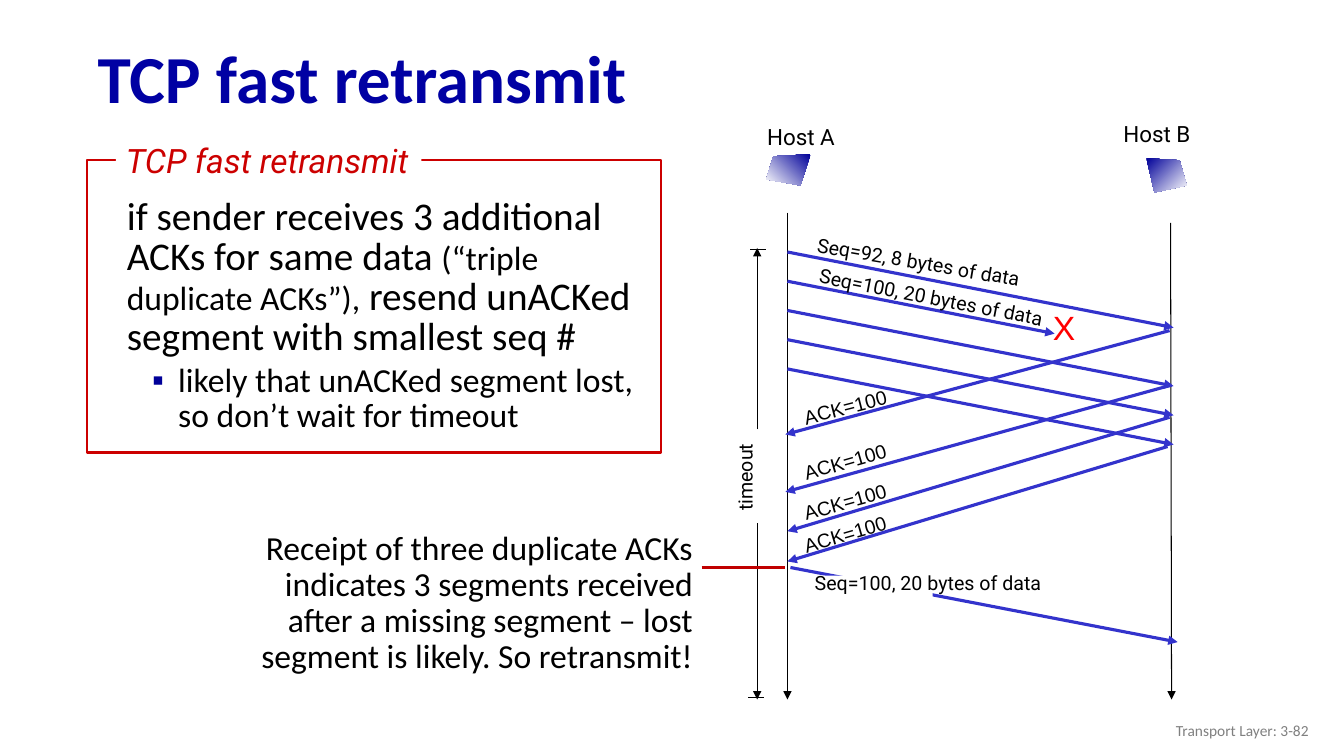
from dataclasses import dataclass

from lxml.etree import SubElement
from pptx import Presentation
from pptx.dml.color import RGBColor
from pptx.enum.shapes import MSO_CONNECTOR, MSO_SHAPE
from pptx.enum.text import MSO_ANCHOR, PP_ALIGN
from pptx.oxml.ns import qn
from pptx.util import Pt

EMU_PER_PX = 9144
HOST_A_X = 781
HOST_B_X = 1164


@dataclass(frozen=True)
class Theme:
    navy: str = "0000A3"
    deep_blue: str = "000099"
    arrow_blue: str = "3333CC"
    black: str = "000000"
    white: str = "FFFFFF"
    red: str = "CC0000"
    pointer_red: str = "C00000"
    loss_red: str = "FF0000"
    gray: str = "808080"
    body_font: str = "Calibri"
    label_font: str = "Roboto"
    ack_font: str = "Arial"
    title_size: int = 48
    lead_size: int = 28
    body_size: int = 24
    host_size: int = 16
    label_size: int = 14
    footer_size: int = 11


THEME = Theme()
TITLE = {"name": THEME.body_font, "size": THEME.title_size, "color": THEME.navy, "bold": True}
LEAD = {"name": THEME.body_font, "size": THEME.lead_size, "color": THEME.black}
BODY = LEAD | {"size": THEME.body_size}
FOOTER = LEAD | {"size": THEME.footer_size, "color": THEME.gray}
HOST = {"name": THEME.label_font, "size": THEME.host_size, "color": THEME.black}
LABEL = HOST | {"size": THEME.label_size}
CAPTION = HOST | {"size": THEME.body_size, "color": THEME.red, "italic": True}
ACK = LABEL | {"name": THEME.ack_font}
LOSS = ACK | {"size": THEME.body_size, "color": THEME.loss_red}


def px(*lengths):
    """Turn px lengths into a list of EMU lengths."""
    return [length * EMU_PER_PX for length in lengths]


def rgb(color):
    return RGBColor.from_string(color)


def add_span(para, text, style):
    span = para.add_run()
    span.text = text
    values = style | {"size": Pt(style["size"])}
    span.font.color.rgb = rgb(values.pop("color"))
    for name, value in values.items():
        setattr(span.font, name, value)


def add_text(page, bounds, text, style, align=PP_ALIGN.CENTER, wrap=False,
             spacing=None, anchor=MSO_ANCHOR.TOP, rotation=0):
    box = page.shapes.add_textbox(*px(*bounds))
    box.rotation = rotation
    frame = box.text_frame
    frame.word_wrap = wrap
    frame.vertical_anchor = anchor
    para = frame.paragraphs[0]
    para.alignment = align
    para.line_spacing = spacing
    add_span(para, text, style)
    return box


def add_box(page, bounds, fill=None, outline=None):
    box = page.shapes.add_shape(MSO_SHAPE.RECTANGLE, *px(*bounds))
    box.shadow.inherit = False
    if fill:
        box.fill.solid()
        box.fill.fore_color.rgb = rgb(fill)
    else:
        box.fill.background()
    if outline:
        box.line.color.rgb = rgb(outline)
        box.line.width = Pt(1.5)
    else:
        box.line.fill.background()
    return box


def add_line(page, start, end, color=THEME.black, width=0.75, arrow=False):
    line = page.shapes.add_connector(MSO_CONNECTOR.STRAIGHT, *px(*start, *end))
    line.line.color.rgb = rgb(color)
    line.line.width = Pt(width)
    properties = line._element.spPr
    if arrow:
        SubElement(properties.find(qn("a:ln")), qn("a:tailEnd"), type="triangle")
    SubElement(properties, qn("a:effectLst"))


def add_message(page, start, end):
    add_line(page, start, end, THEME.arrow_blue, 2.25, True)


def add_host_icon(page, corners, angle):
    """Draw a four-cornered patch that fades from blue to white."""
    builder = page.shapes.build_freeform(*corners[0], scale=EMU_PER_PX)
    builder.add_line_segments(corners[1:], close=True)
    icon = builder.convert_to_shape()
    icon.shadow.inherit = False
    icon.line.fill.background()
    icon.fill.gradient()
    icon.fill.gradient_angle = angle
    for stop, color in zip(icon.fill.gradient_stops, (THEME.deep_blue, THEME.white)):
        stop.color.rgb = rgb(color)


def add_bullet(para):
    properties = para._p.get_or_add_pPr()
    for name, value in zip(("marL", "indent"), px(51, -26)):
        properties.set(name, str(value))
    color = SubElement(properties, qn("a:buClr"))
    SubElement(color, qn("a:srgbClr"), val=THEME.deep_blue)
    SubElement(properties, qn("a:buFont"), typeface="Arial")
    SubElement(properties, qn("a:buChar"), char="▪")


def add_rule_panel(page):
    panel = add_box(page, (116, 192, 526, 248), fill=THEME.white)
    frame = panel.text_frame
    frame.word_wrap = True
    frame.vertical_anchor = MSO_ANCHOR.TOP
    rule, reason = frame.paragraphs[0], frame.add_paragraph()
    add_bullet(reason)
    for para in (rule, reason):
        para.alignment = PP_ALIGN.LEFT
        para.line_spacing = 0.85
    reason.space_before = Pt(5)
    add_span(rule, "if sender receives 3 additional ACKs for same data ", LEAD)
    add_span(rule, "(“triple duplicate ACKs”),", BODY)
    add_span(rule, " resend unACKed segment with smallest seq #", LEAD)
    add_span(reason, "likely that unACKed segment lost, so don’t wait for timeout", BODY)
    add_box(page, (86, 159, 570, 290), outline=THEME.red)
    add_box(page, (115, 134, 303, 50), fill=THEME.white)
    add_text(page, (115, 134, 303, 50), "TCP fast retransmit", CAPTION, PP_ALIGN.LEFT)


def add_timelines(page):
    add_line(page, (HOST_A_X, 211), (HOST_A_X, 694), arrow=True)
    add_line(page, (1161, 221), (1162, 694), arrow=True)
    add_text(page, (1089, 114, 117, 43), "Host B", HOST)
    add_text(page, (736, 117, 117, 43), "Host A", HOST)
    add_host_icon(page, [(804, 153), (767, 155), (760, 178), (794, 184)], 225)
    add_host_icon(page, [(1137, 157), (1170, 159), (1177, 184), (1145, 191)], 315)


def add_timeout(page):
    label = add_text(page, (722, 430, 60, 87), "timeout", LABEL)
    label.text_frame._txBody.bodyPr.set("vert", "vert270")
    add_line(page, (751, 426), (751, 246), arrow=True)
    add_line(page, (751, 519), (751, 694), arrow=True)
    for left, y in ((744, 248), (742, 692)):
        add_line(page, (left, y), (left + 16, y))


def add_exchange(page):
    acks = [
        ((1160, 328), (779, 431), 387, 345.6),
        ((1162, 382), (779, 488), 441, 343.9),
        ((1160, 414), (781, 527), 481, 344.3),
        ((1158, 443), (781, 557), 513, 343.8),
    ]
    for start, end, label_top, rotation in acks:
        add_message(page, start, end)
        add_text(page, (767, label_top, 144, 39), "ACK=100", ACK, rotation=rotation)

    lost_segment = 1
    for segment in range(5):
        top = 250 + 29 * segment
        end = (1046, 331) if segment == lost_segment else (HOST_B_X, top + 75)
        add_message(page, (HOST_A_X, top), end)
    add_text(page, (1034, 300, 43, 58), "X", LOSS, wrap=True)
    add_text(page, (795, 243, 232, 34), "Seq=92, 8 bytes of data", LABEL, rotation=9.7)
    add_text(page, (797, 278, 253, 34), "Seq=100, 20 bytes of data", LABEL, rotation=11.1)

    add_message(page, (784, 563), (1168, 637))
    add_box(page, (810, 571, 115, 29), fill=THEME.white)
    add_text(page, (748, 561, 345, 39), "Seq=100, 20 bytes of data", LABEL)


def main():
    deck = Presentation()
    deck.slide_width, deck.slide_height = px(1333, 750)
    page = deck.slides.add_slide(deck.slide_layouts[6])
    add_text(page, (87, 32, 1246, 98), "TCP fast retransmit", TITLE, PP_ALIGN.LEFT,
             wrap=True, spacing=0.9, anchor=MSO_ANCHOR.MIDDLE)
    add_timelines(page)
    add_timeout(page)
    add_exchange(page)
    add_text(page, (244, 522, 453, 156),
             "Receipt of three duplicate ACKs indicates 3 segments received after a "
             "missing segment – lost segment is likely. So retransmit!",
             BODY, PP_ALIGN.RIGHT, wrap=True, spacing=0.9)
    add_line(page, (696, 563), (779, 563), THEME.pointer_red, 1.75)
    add_rule_panel(page)
    add_text(page, (1008, 705, 300, 40), "Transport Layer: 3-82", FOOTER,
             PP_ALIGN.RIGHT, wrap=True, anchor=MSO_ANCHOR.MIDDLE)
    deck.save("out.pptx")


if __name__ == "__main__":
    main()
